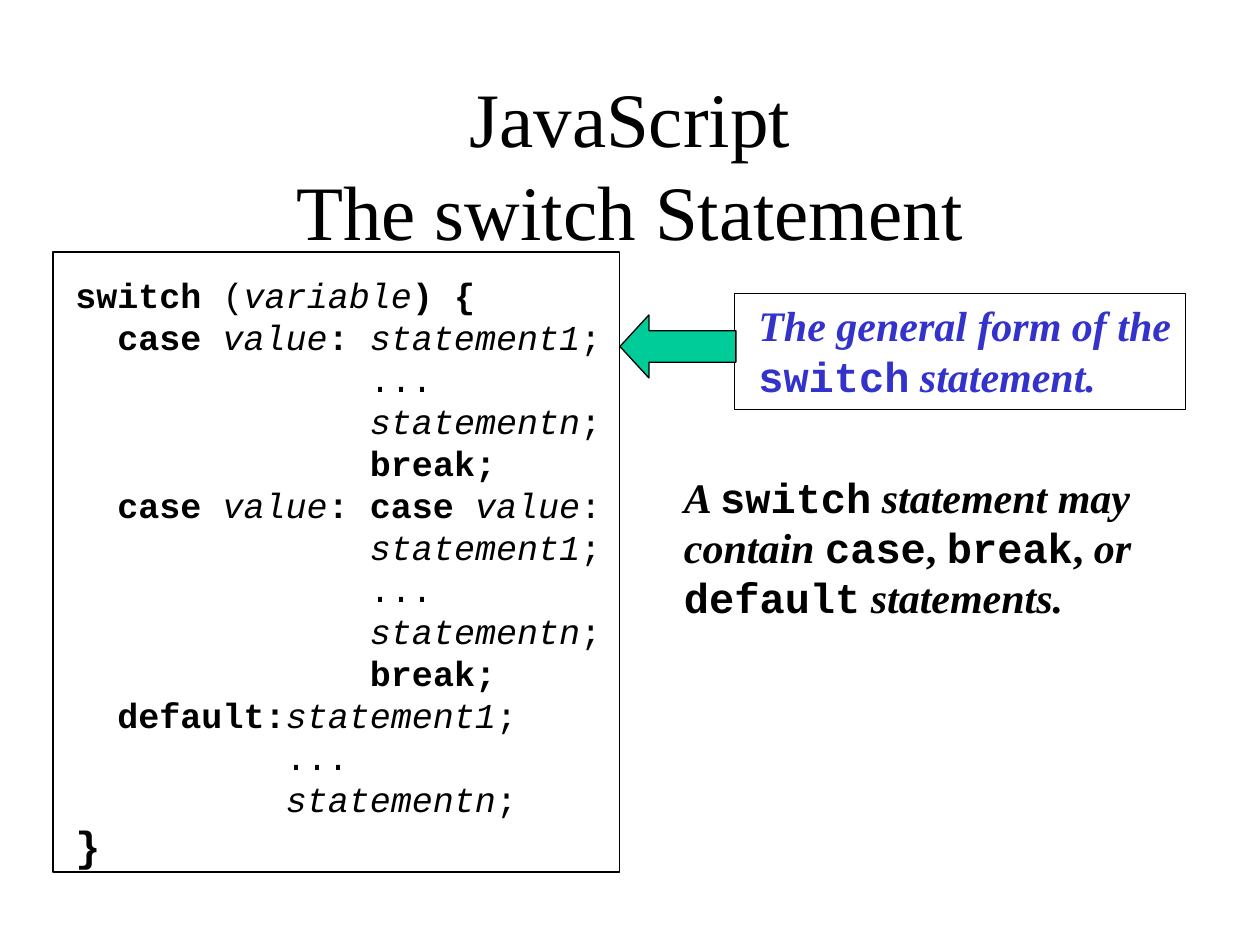
from dataclasses import dataclass
from typing import Optional

from pptx import Presentation
from pptx.dml.color import RGBColor
from pptx.enum.shapes import MSO_SHAPE
from pptx.enum.text import MSO_ANCHOR, PP_ALIGN
from pptx.util import Inches, Pt

SERIF, MONO = "Times New Roman", "Courier New"
BLACK, BLUE, GREEN = "000000", "3333CC", "00CC99"
STYLES = {
    "plain": {"name": MONO, "bold": False, "italic": False},
    "keyword": {"name": MONO, "bold": True, "italic": False},
    "variable": {"name": MONO, "bold": False, "italic": True},
    "title": {"name": SERIF, "bold": False, "italic": False},
    "note": {"name": SERIF, "bold": True, "italic": True},
    "comma": {"name": SERIF, "bold": True, "italic": False},
}


@dataclass
class Line:
    runs: list[tuple[str, str]]
    size: int


@dataclass
class Block:
    left: float
    top: float
    width: float
    height: float
    lines: list[Line]
    color: str = BLACK
    wrap: bool = True
    align: PP_ALIGN = PP_ALIGN.LEFT
    anchor: MSO_ANCHOR = MSO_ANCHOR.TOP


@dataclass
class Outline:
    kind: MSO_SHAPE
    left: float
    top: float
    width: float
    height: float
    fill: Optional[str] = None
    adjustments: tuple[float, ...] = ()


def rgb(value: str) -> RGBColor:
    return RGBColor.from_string(value)


def code(*runs: tuple[str, str]) -> Line:
    return Line(list(runs), 20)


def note(*runs: tuple[str, str]) -> Line:
    return Line(list(runs), 24)


def statement(indent: int, name: str) -> Line:
    return code((" " * indent, "plain"), (name, "variable"), (";", "plain"))


def tail(indent: int) -> list[Line]:
    return [code((" " * indent + "...", "plain")), statement(indent, "statementn")]


def draw_block(s, block: Block) -> None:
    box = s.shapes.add_textbox(Inches(block.left), Inches(block.top),
                               Inches(block.width), Inches(block.height))
    tf = box.text_frame
    tf.word_wrap = block.wrap
    tf.vertical_anchor = block.anchor
    for i, line in enumerate(block.lines):
        p = tf.add_paragraph() if i else tf.paragraphs[0]
        p.alignment = block.align
        p.line_spacing = Pt(line.size * 1.2)
        for j, (text, style) in enumerate(line.runs):
            for k, part in enumerate(text.split("\n")):
                if k:
                    p.add_line_break()
                r = p.add_run()
                r.text = part
                r.font.size = Pt(line.size)
                r.font.color.rgb = rgb(block.color)
                for key, value in STYLES[style].items():
                    setattr(r.font, key, value)


def draw_outline(s, outline: Outline) -> None:
    sp = s.shapes.add_shape(outline.kind, Inches(outline.left), Inches(outline.top),
                            Inches(outline.width), Inches(outline.height))
    sp.shadow.inherit = False
    for i, value in enumerate(outline.adjustments):
        sp.adjustments[i] = value
    if outline.fill:
        sp.fill.solid()
        sp.fill.fore_color.rgb = rgb(outline.fill)
    else:
        sp.fill.background()
    sp.line.color.rgb = rgb(BLACK)
    sp.line.width = Pt(0.75)


CASE = [("  ", "plain"), ("case ", "keyword"), ("value", "variable")]
BREAK = code((" " * 14, "plain"), ("break;", "keyword"))
SWITCH_CODE = [
    code(("switch ", "keyword"), ("(", "plain"), ("variable", "variable"), (") {", "keyword")),
    code(*CASE, (": ", "keyword"), ("statement1", "variable"), (";", "plain")),
    *tail(14),
    BREAK,
    code(*CASE, (": case ", "keyword"), ("value", "variable"), (":", "plain")),
    statement(14, "statement1"),
    *tail(14),
    BREAK,
    code(("  ", "plain"), ("default:", "keyword"), ("statement1", "variable"), (";", "plain")),
    *tail(10),
    Line([("}", "keyword")], 24),
]
CONTENTS = [
    note(("A ", "note"), ("switch", "keyword"), (" statement may", "note")),
    note(("contain ", "note"), ("case", "keyword"), (", ", "comma"),
         ("break", "keyword"), (", ", "comma"), ("or", "note")),
    note(("default", "keyword"), (" statements.", "note")),
]
GENERAL_FORM = [
    note(("The general form of the", "note")),
    note(("switch", "keyword"), (" statement.", "note")),
]
TITLE = [Line([("JavaScript\nThe switch Statement", "title")], 44)]

BLOCKS = [
    Block(0.5, 2.12, 4.67, 4.84, SWITCH_CODE),
    Block(0.75, 0.67, 8.5, 1.25, TITLE, align=PP_ALIGN.CENTER, anchor=MSO_ANCHOR.MIDDLE),
    Block(5.33, 3.69, 3.84, 1.3, CONTENTS, wrap=False),
    Block(5.92, 2.33, 3.48, 0.9, GENERAL_FORM, BLUE, wrap=False),
]
OUTLINES = [
    Outline(MSO_SHAPE.RECTANGLE, 0.42, 2, 4.5, 4.92),
    Outline(MSO_SHAPE.RECTANGLE, 5.83, 2.33, 3.58, 0.92),
    Outline(MSO_SHAPE.LEFT_ARROW, 4.92, 2.5, 0.92, 0.5, GREEN, (0.5, 0.46)),
]


def main() -> None:
    prs = Presentation()
    prs.slide_width, prs.slide_height = Inches(10), Inches(7.5)
    s = prs.slides.add_slide(prs.slide_layouts[6])
    for block in BLOCKS:
        draw_block(s, block)
    for outline in OUTLINES:
        draw_outline(s, outline)
    prs.save("out.pptx")


if __name__ == "__main__":
    main()
